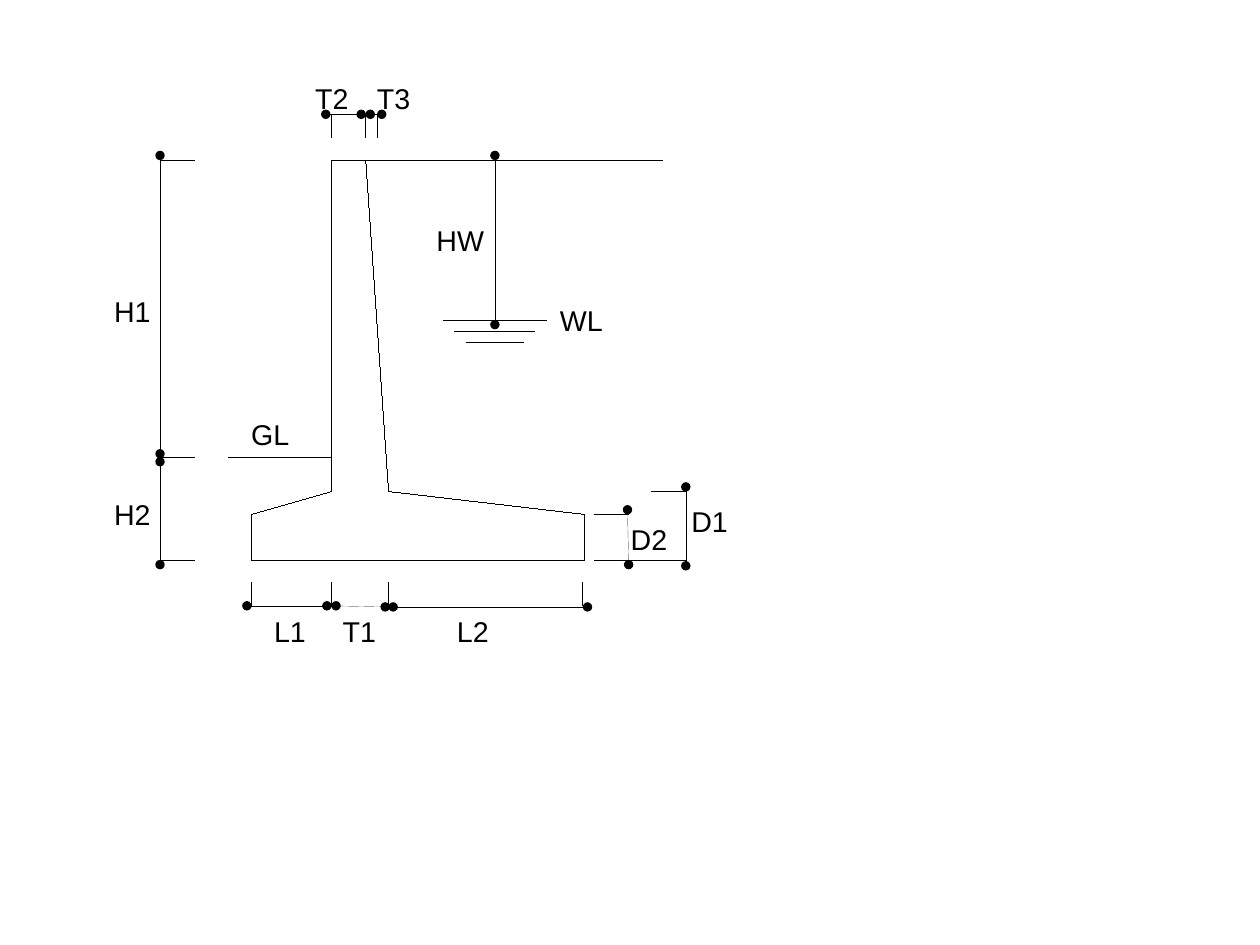
"""Draw a dimensioned cross-section of a retaining wall."""
from dataclasses import dataclass

import lxml.etree
import pptx
import pptx.dml.color
import pptx.enum.shapes
import pptx.enum.text
import pptx.oxml.ns
import pptx.slide
import pptx.util

Point = tuple[float, float]


@dataclass(frozen=True)
class Theme:
    ink: pptx.dml.color.RGBColor = pptx.dml.color.RGBColor(0, 0, 0)
    font: str = "Arial"
    label_size: int = 18
    hairline: int = 0


@dataclass(frozen=True)
class Label:
    text: str
    left: float
    top: float
    width: float = 0.6
    height: float = 0.38


@dataclass(frozen=True)
class Dimension:
    start: Point
    end: Point
    label: Label


@dataclass(frozen=True)
class Segment:
    start: Point
    end: Point


THEME = Theme()
CM_PER_INCH = 2.54
PAGE_WIDTH, PAGE_HEIGHT = 28 / CM_PER_INCH, 21 / CM_PER_INCH
TOP, GROUND, STEM_FOOT, FOOTING_EDGE, BASE = 1.4, 4.0, 4.3, 4.5, 4.9
TOE, FACE, CREST, HEEL = 2.2, 2.9, 3.2, 5.11
STEM_BACK = 3.4
WATER_LEVEL, WATER_CENTRE = 2.8, 4.33

WALL_OUTLINE: list[Point] = [
    (CREST, TOP), (FACE, TOP), (FACE, STEM_FOOT), (TOE, FOOTING_EDGE), (TOE, BASE),
    (HEEL, BASE), (HEEL, FOOTING_EDGE), (STEM_BACK, STEM_FOOT), (CREST, TOP),
]
SURFACES = [
    Segment((CREST, TOP), (5.8, TOP)),
    Segment((2.0, GROUND), (FACE, GROUND)),
]
WATER_MARKS = [
    Segment((WATER_CENTRE - half, WATER_LEVEL + 0.1 * row),
            (WATER_CENTRE + half, WATER_LEVEL + 0.1 * row))
    for row, half in enumerate((0.45, 0.35, 0.25))
]
EXTENSIONS = [
    *(Segment((1.4, y), (1.7, y)) for y in (TOP, GROUND, BASE)),
    *(Segment((x, 1.0), (x, 1.2)) for x in (FACE, CREST, 3.3)),
    *(Segment((x, 5.1), (x, 5.3)) for x in (TOE, FACE, STEM_BACK, 5.1)),
    Segment((5.2, FOOTING_EDGE), (5.5, FOOTING_EDGE)),
    Segment((5.7, STEM_FOOT), (6.0, STEM_FOOT)),
    Segment((5.2, BASE), (6.0, BASE)),
]
DIMENSIONS = [
    Dimension((1.4, 1.36), (1.4, 4.04), Label("H1", 0.9, 2.52)),
    Dimension((1.4, 3.97), (1.4, 4.94), Label("H2", 0.9, 4.3)),
    Dimension((2.85, 1.0), (3.24, 1.0), Label("T2", 2.66, 0.66)),
    Dimension((3.16, 1.0), (3.34, 1.0), Label("T3", 3.2, 0.66)),
    Dimension((4.33, 1.36), (4.33, 2.84), Label("HW", 3.72, 1.9, 0.9, 0.4)),
    Dimension((5.49, 4.46), (5.5, 4.94), Label("D2", 5.42, 4.52)),
    Dimension((6.0, 4.26), (6.0, 4.95), Label("D1", 5.95, 4.36)),
    Dimension((2.16, 5.3), (2.94, 5.3), Label("L1", 2.3, 5.32)),
    Dimension((2.86, 5.3), (3.44, 5.31), Label("T1", 2.9, 5.32)),
    Dimension((3.37, 5.31), (5.14, 5.31), Label("L2", 3.9, 5.32)),
]
LEVEL_LABELS = [Label("GL", 2.1, 3.6), Label("WL", 4.8, 2.6)]


def draw_line(slide: pptx.slide.Slide, start: Point, end: Point, dotted_ends: bool = False) -> None:
    line = slide.shapes.add_connector(
        pptx.enum.shapes.MSO_CONNECTOR.STRAIGHT,
        *(pptx.util.Inches(length) for length in (*start, *end)),
    )
    line.line.color.rgb = THEME.ink
    properties = line._element.spPr
    outline = properties.find(pptx.oxml.ns.qn("a:ln"))
    outline.set("w", str(THEME.hairline))
    if dotted_ends:
        for end_tag in ("a:headEnd", "a:tailEnd"):
            lxml.etree.SubElement(outline, pptx.oxml.ns.qn(end_tag), type="oval")
    lxml.etree.SubElement(properties, pptx.oxml.ns.qn("a:effectLst"))


def draw_label(slide: pptx.slide.Slide, label: Label) -> None:
    box = slide.shapes.add_textbox(
        *(pptx.util.Inches(length) for length in (label.left, label.top, label.width, label.height))
    )
    frame = box.text_frame
    frame.word_wrap = True
    frame.auto_size = pptx.enum.text.MSO_AUTO_SIZE.SHAPE_TO_FIT_TEXT
    paragraph = frame.paragraphs[0]
    paragraph.text = label.text
    paragraph.font.name = THEME.font
    paragraph.font.size = pptx.util.Pt(THEME.label_size)
    paragraph.font.color.rgb = THEME.ink


def main() -> None:
    presentation = pptx.Presentation()
    presentation.slide_width = pptx.util.Inches(PAGE_WIDTH)
    presentation.slide_height = pptx.util.Inches(PAGE_HEIGHT)
    slide = presentation.slides.add_slide(presentation.slide_layouts[6])
    for start, end in zip(WALL_OUTLINE, WALL_OUTLINE[1:]):
        draw_line(slide, start, end)
    for segment in SURFACES + WATER_MARKS + EXTENSIONS:
        draw_line(slide, segment.start, segment.end)
    for dimension in DIMENSIONS:
        draw_line(slide, dimension.start, dimension.end, dotted_ends=True)
        draw_label(slide, dimension.label)
    for label in LEVEL_LABELS:
        draw_label(slide, label)
    presentation.save("out.pptx")


if __name__ == "__main__":
    main()
